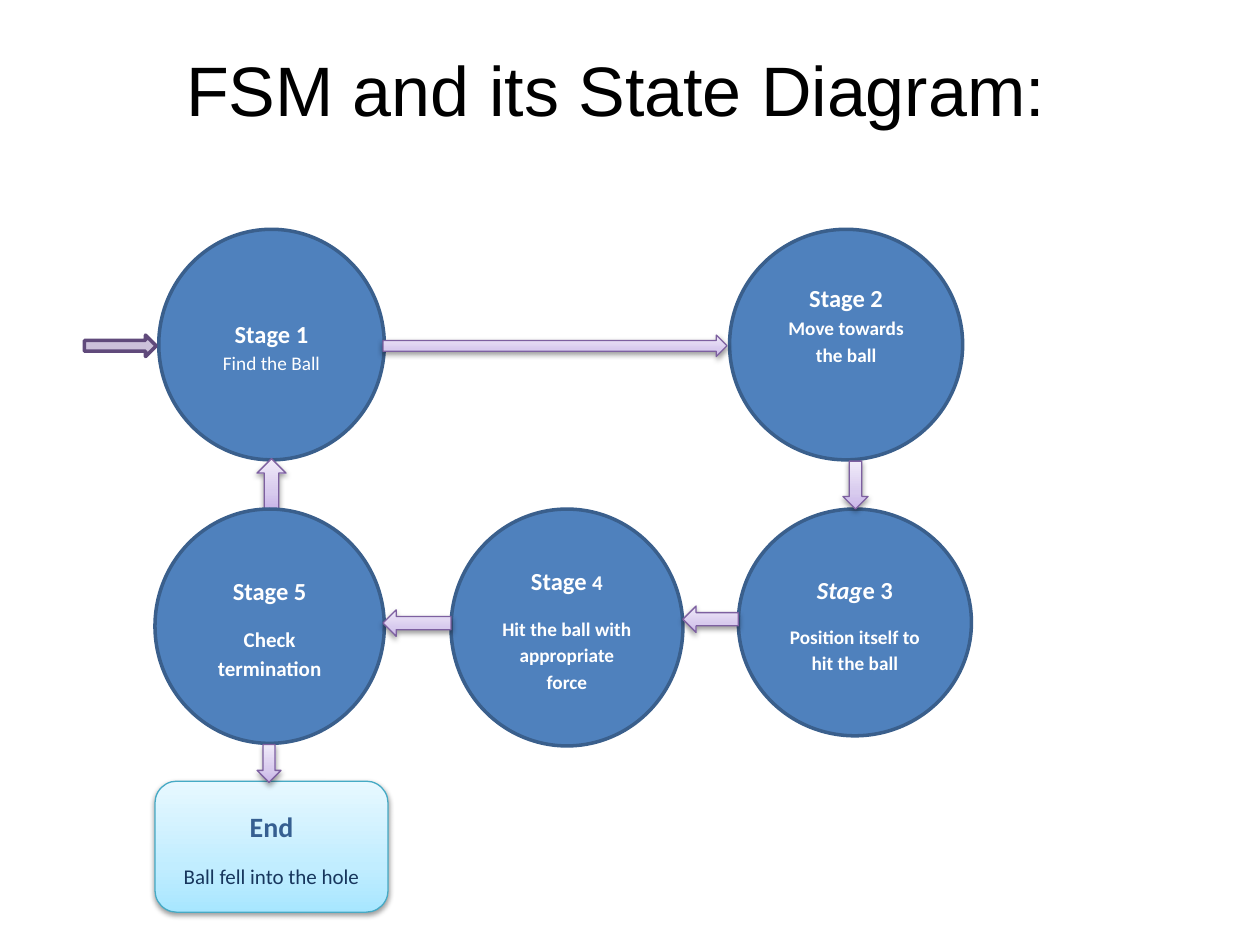
from dataclasses import dataclass

from lxml import etree
from pptx import Presentation
from pptx.dml.color import RGBColor
from pptx.enum.shapes import MSO_SHAPE
from pptx.enum.text import MSO_ANCHOR, PP_ALIGN
from pptx.oxml.ns import qn
from pptx.util import Inches, Pt

OVAL, ROUNDED = MSO_SHAPE.OVAL, MSO_SHAPE.ROUNDED_RECTANGLE
RIGHT, LEFT = MSO_SHAPE.RIGHT_ARROW, MSO_SHAPE.LEFT_ARROW
UP, DOWN = MSO_SHAPE.UP_ARROW, MSO_SHAPE.DOWN_ARROW
CENTER = PP_ALIGN.CENTER
TOP, MIDDLE = MSO_ANCHOR.TOP, MSO_ANCHOR.MIDDLE


@dataclass(frozen=True)
class Theme:
    title_font: str = "Arial"
    body_font: str = "Calibri"
    black: str = "000000"
    white: str = "FFFFFF"
    state_fill: str = "4F81BD"
    state_line: str = "3A5F8C"
    arrow_line: str = "7D60A0"
    arrow_stops: tuple = ((0, "C9B5E8"), (35, "D8CBEE"), (100, "F0EAF9"))
    entry_fill: str = "CCC1DA"
    entry_line: str = "604A7B"
    end_line: str = "46AAC5"
    end_stops: tuple = ((0, "A7E6FF"), (35, "C1EDFF"), (100, "E7F8FF"))
    end_heading: str = "365F91"
    end_text: str = "17365D"
    title_size: int = 40
    end_size: int = 16
    heading_size: int = 14
    medium_size: int = 12
    small_size: int = 11


THEME = Theme()


def add_text(paragraph, text, *, size, color=THEME.white, font=THEME.body_font,
             bold=True, italic=False):
    """Add one formatted run to a paragraph."""
    run = paragraph.add_run()
    run.text = text
    run.font.name = font
    run.font.size = Pt(size)
    run.font.bold = bold
    run.font.italic = italic
    run.font.color.rgb = RGBColor.from_string(color)


def add_paragraph(frame, first=False):
    paragraph = frame.paragraphs[0] if first else frame.add_paragraph()
    paragraph.alignment = CENTER
    paragraph.line_spacing = 1.15
    paragraph.space_after = Pt(10)
    return paragraph


def add_block(slide, kind, box, line, line_width, fill=None, stops=None):
    """Add a preset shape; one with gradient stops also casts a shadow."""
    shape = slide.shapes.add_shape(kind, *map(Inches, box))
    shape.line.color.rgb = RGBColor.from_string(line)
    shape.line.width = Pt(line_width)
    shape.shadow.inherit = False
    if stops:
        set_gradient(shape, stops)
        set_shadow(shape)
    else:
        shape.fill.solid()
        shape.fill.fore_color.rgb = RGBColor.from_string(fill)
    shape.text_frame.word_wrap = True
    shape.text_frame.vertical_anchor = MIDDLE
    return shape


def add_color(parent, color):
    return etree.SubElement(parent, qn("a:srgbClr"), val=color)


def set_gradient(shape, stops):
    shape.fill.gradient()
    shape.fill.gradient_angle = 90
    stop_list = next(shape.element.iter(qn("a:gsLst")))
    for old_stop in list(stop_list):
        stop_list.remove(old_stop)
    for percent, color in stops:
        stop = etree.SubElement(stop_list, qn("a:gs"), pos=str(percent * 1000))
        add_color(stop, color)


def set_shadow(shape):
    effects = next(shape.element.iter(qn("a:effectLst")))
    shadow = etree.SubElement(
        effects, qn("a:outerShdw"), blurRad=str(Pt(3.1)), dist=str(Pt(1.6)),
        dir="5400000", rotWithShape="0")
    etree.SubElement(add_color(shadow, THEME.black), qn("a:alpha"), val="38000")


def add_state(slide, box, heading, detail, size, bold=True, joined=False,
              bottom=0.05):
    """Add a state circle; a joined detail follows after a line break."""
    state = add_block(slide, OVAL, box, THEME.state_line, 2, fill=THEME.state_fill)
    frame = state.text_frame
    frame.margin_bottom = Inches(bottom)
    paragraph = add_paragraph(frame, first=True)
    for text, style in heading:
        add_text(paragraph, text, **{"size": THEME.heading_size, **style})
    if joined:
        paragraph.add_line_break()
    else:
        paragraph = add_paragraph(frame)
    add_text(paragraph, detail, size=size, bold=bold)


def add_arrow(slide, kind, box):
    add_block(slide, kind, box, THEME.arrow_line, 0.75, stops=THEME.arrow_stops)


def add_end(slide, box):
    end = add_block(slide, ROUNDED, box, THEME.end_line, 0.75, stops=THEME.end_stops)
    add_text(add_paragraph(end.text_frame, first=True), "End",
             size=THEME.end_size, color=THEME.end_heading)
    add_text(add_paragraph(end.text_frame), "Ball fell into the hole",
             size=THEME.medium_size, color=THEME.end_text, bold=False)


def add_title(slide, text):
    box = slide.shapes.add_textbox(*map(Inches, (0.42, 0.25, 8.93, 2.83)))
    frame = box.text_frame
    frame.word_wrap = True
    frame.vertical_anchor = TOP
    frame.margin_top = Inches(0.12)
    frame.paragraphs[0].alignment = CENTER
    add_text(frame.paragraphs[0], text, size=THEME.title_size, color=THEME.black,
             font=THEME.title_font, bold=False)


def main():
    presentation = Presentation()
    presentation.slide_width, presentation.slide_height = Inches(10), Inches(7.5)
    slide = presentation.slides.add_slide(presentation.slide_layouts[6])
    small, medium = THEME.small_size, THEME.medium_size

    # States, with the arrows that lie between them in the stacking order
    add_state(slide, (1.26, 1.82, 1.79, 1.83), [("Stage 1", {})],
              "Find the Ball", small, bold=False, joined=True)
    add_state(slide, (3.58, 4.04, 1.84, 1.88),
              [("Stage ", {}), ("4", {"size": medium})],
              "Hit the ball with appropriate force", small)
    add_state(slide, (5.86, 4.04, 1.85, 1.8),
              [("Stag", {"italic": True}), ("e 3", {})],
              "Position itself to hit the ball", small)
    add_state(slide, (5.79, 1.82, 1.85, 1.83), [("Stage 2", {})],
              "Move towards the ball", small, joined=True, bottom=0.4)
    add_arrow(slide, DOWN, (6.69, 3.66, 0.2, 0.38))
    add_arrow(slide, UP, (2.04, 3.64, 0.23, 0.4))
    add_end(slide, (1.23, 6.2, 1.85, 1.04))
    add_arrow(slide, RIGHT, (3.04, 2.66, 2.73, 0.17))
    add_state(slide, (1.23, 4.04, 1.82, 1.86), [("Stage 5", {})],
              "Check termination", medium)

    # Remaining transitions
    add_arrow(slide, LEFT, (5.42, 4.81, 0.44, 0.21))
    add_arrow(slide, LEFT, (3.04, 4.84, 0.54, 0.21))
    add_arrow(slide, DOWN, (2.04, 5.91, 0.19, 0.3))

    # Title and entry arrow
    add_title(slide, "FSM and its State Diagram:")
    add_block(slide, RIGHT, (0.67, 2.66, 0.57, 0.17), THEME.entry_line, 2,
              fill=THEME.entry_fill)

    presentation.save("out.pptx")


main()
